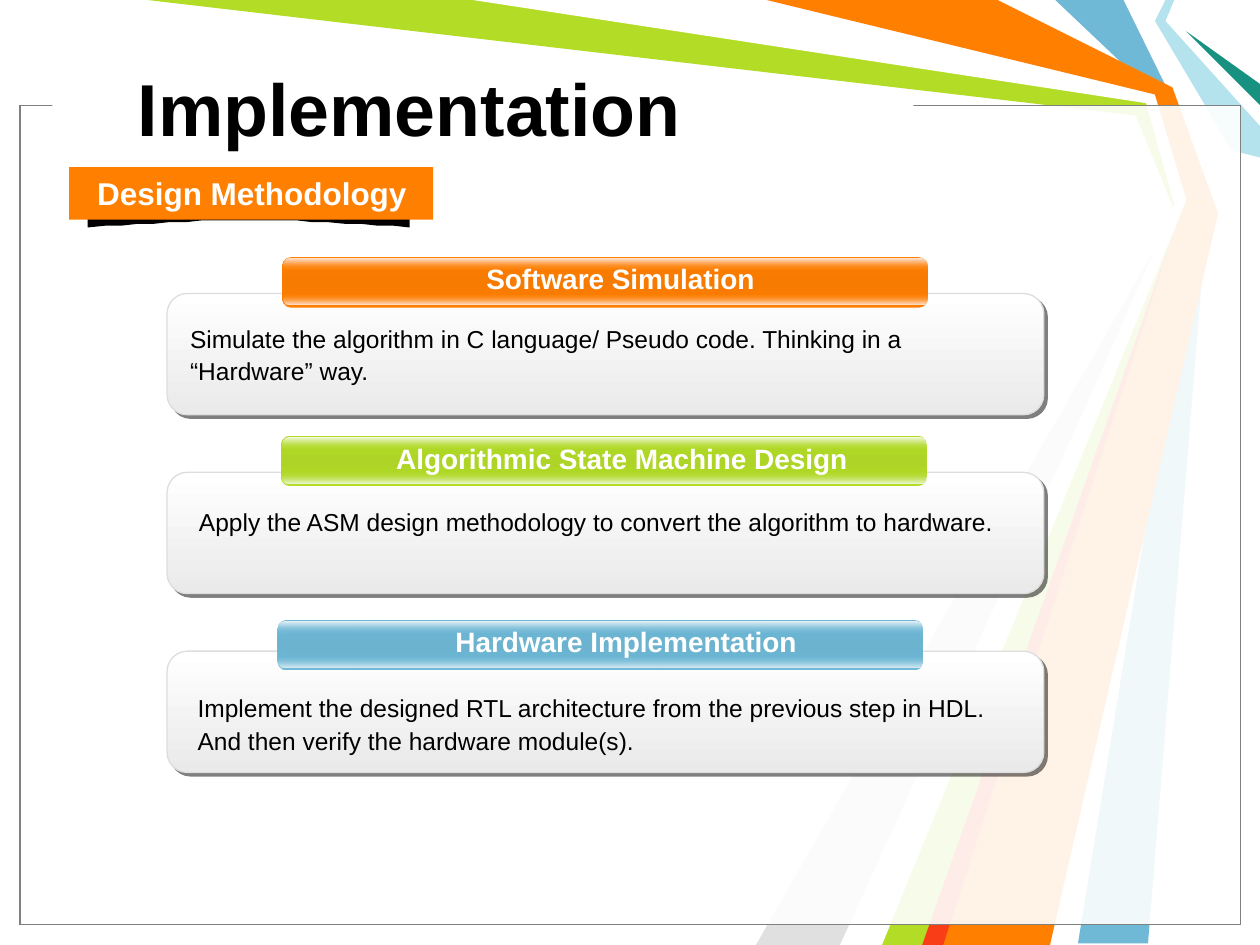
from pptx import Presentation
from pptx import util as u
from pptx.dml.color import RGBColor
from pptx.enum import shapes, text
from pptx.oxml import parse_xml
from pptx.oxml.ns import nsdecls, qn

Pt = u.Pt
RECT = shapes.MSO_SHAPE.RECTANGLE
ROUND = shapes.MSO_SHAPE.ROUNDED_RECTANGLE
LEFT, MID = text.PP_ALIGN.LEFT, text.PP_ALIGN.CENTER

theme = dict(
    font="Arial", title=42, banner=18, head=16, body=14,
    black="000000", white="FFFFFF", orange="FF7F00", green="B3DC27",
    blue="6FB9D7", pale="B4E3EE", teal="189180", red="F93D17",
    grey="E0E0E0", frame="808080", edge="DDDDDD", base="EAEAEA",
)

# Drop shadow, 2.8 pt to the lower right
SHADE = (f'<a:outerShdw {nsdecls("a")} dist="35560" dir="2700000" algn="ctr" rotWithShape="0">'
         '<a:srgbClr val="000000"><a:alpha val="50000"/></a:srgbClr></a:outerShdw>')


def paint(shape, stops, line=None):
    """Fill with one colour or a top-down gradient of (place, colour, alpha)."""
    shape.shadow.inherit = False
    if len(stops) == 1:
        shape.fill.solid()
        shape.fill.fore_color.rgb = RGBColor.from_string(stops[0][1])
        if stops[0][2] < 100:
            tint = shape.fill._xPr.find(qn("a:solidFill"))[0]
            tint.append(parse_xml(f'<a:alpha {nsdecls("a")} val="{stops[0][2] * 1000}"/>'))
    else:
        shape.fill.gradient()
        shape.fill.gradient_angle = 270
        group = shape.fill._xPr.find(qn("a:gradFill")).find(qn("a:gsLst"))
        for old in list(group):
            group.remove(old)
        for place, color, alpha in stops:
            group.append(parse_xml(
                f'<a:gs {nsdecls("a")} pos="{place * 1000}"><a:srgbClr val="{color}">'
                f'<a:alpha val="{alpha * 1000}"/></a:srgbClr></a:gs>'))
    if line:
        shape.line.color.rgb = RGBColor.from_string(line)
        shape.line.width = Pt(0.75)
    else:
        shape.line.fill.background()
    return shape


def write(box, words, size, color, bold, align):
    """Set one paragraph in a box and return its run."""
    frame = box.text_frame
    frame.word_wrap = True
    frame.text = words
    para = frame.paragraphs[0]
    para.alignment = align
    run = para.runs[0]
    run.font.name, run.font.size, run.font.bold = theme["font"], Pt(size), bold
    run.font.color.rgb = RGBColor.from_string(color)
    return run


deck = Presentation()
deck.slide_width, deck.slide_height = Pt(720), Pt(540)
slide = deck.slides.add_slide(deck.slide_layouts[5])
art = slide.shapes

# Background ribbons
ribbons = [
    ("blue", [(642, 0), (669, 55), (690, 120), (656, 539), (616, 539), (684, 120), (660, 54), (603, 0)]),
    ("green", [(84, 0), (276, 0), (658, 56), (678, 122), (534, 540), (498, 540), (673, 125), (649, 66)]),
    ("grey", [(480, 540), (667, 130), (432, 540)]),
    ("white", [(270, 0), (655, 59), (671, 117), (486, 540), (504, 540), (678, 114), (660, 54), (432, 0)]),
    ("pale", [(666, 0), (660, 12), (704, 86), (720, 90), (720, 72), (666, 12), (671, 0)]),
    ("teal", [(720, 60), (678, 18), (720, 48)]),
    ("orange", [(438, 0), (570, 0), (670, 50), (696, 122), (600, 540), (528, 540), (678, 114), (660, 54)]),
    ("red", [(527, 540), (671, 132), (539, 540)]),
]
# Banner shadow with a curved lower edge
curve = [(142.5 + 9.2 * n, 126 + 0.043 * n * n) for n in range(10, -11, -1)]
fold = ("black", curve + [(50.5, 119), (142.5, 115), (234.5, 119)])

for name, points in ribbons + [fold]:
    if name == "black":
        # Page frame, two veils deep, with a gap behind the title
        for line in ("black", "frame"):
            veil = art.add_shape(RECT, Pt(11.5), Pt(60.5), Pt(697.5), Pt(468))
            paint(veil, [(0, theme["white"], 69)], theme[line])
        gap = art.add_shape(RECT, Pt(30), Pt(53.5), Pt(492), Pt(12))
        paint(gap, [(0, theme["white"], 100)])
    pen = art.build_freeform(*points[0], scale=Pt(1))
    pen.add_line_segments(points[1:], close=True)
    paint(pen.convert_to_shape(), [(0, theme[name], 100)])

# Title, in front of the background
title = art.title
title.left, title.top, title.width, title.height = Pt(71.5), Pt(16), Pt(496), Pt(90)
title.text_frame.vertical_anchor = text.MSO_ANCHOR.MIDDLE
write(title, "Implementation", theme["title"], theme["black"], True, LEFT)
art._spTree.append(title._element)

# Banner
banner = art.add_shape(RECT, Pt(39.5), Pt(95.5), Pt(208), Pt(30))
paint(banner, [(0, theme["orange"], 100)])
label = art.add_textbox(Pt(44.5), Pt(95.8), Pt(199), Pt(29))
write(label, "Design Methodology", theme["banner"], theme["white"], True, MID)

# Cards: colour, middle and rim shades, bar place, heading centre and top, body place
cards = [
    ("orange", "F67B00", "FFEAE4", "FFECE7", 161.2, 147, 354.6, 146.2, 101.5, 180,
     "Software Simulation",
     "Simulate the algorithm in C language/ Pseudo code. Thinking in a “Hardware” way."),
    ("green", "ADD426", "F5FAED", "F3F9E9", 160.6, 249, 355.4, 249, 106.6, 284.4,
     "Algorithmic State Machine Design",
     "Apply the ASM design methodology to convert the algorithm to hardware."),
    ("blue", "6BB3CF", "ECF4F8", "E5F0F6", 158.6, 354.3, 357.8, 353.5, 105.8, 391,
     "Hardware Implementation",
     "Implement the designed RTL architecture from the previous step in HDL. "
     "And then verify the hardware module(s)."),
]
for row, (name, core, upper, lower, left, top, mid, high, start, down, head, body) in enumerate(cards):
    color = theme[name]

    # Panel
    panel = art.add_shape(ROUND, Pt(95.5), Pt(167.7 + 102.2 * row), Pt(501), Pt(69.3))
    paint(panel, [(0, theme["white"], 100), (100, theme["base"], 100)], theme["edge"])
    panel._element.spPr.find(qn("a:effectLst")).append(parse_xml(SHADE))

    # Glossy bar with a lit lower and upper rim
    bar = art.add_shape(ROUND, Pt(left), Pt(top), Pt(369), Pt(28.8))
    bar.adjustments[0] = 0.175
    paint(bar, [(0, color, 100), (50, core, 100), (100, color, 100)])
    for drop, stops in (
        (20.5, [(0, color, 0), (100, lower, 100)]),
        (1, [(0, upper, 100), (100, color, 0)]),
    ):
        rim = art.add_shape(ROUND, Pt(left + 0.8), Pt(top + drop), Pt(368), Pt(6.8))
        rim.adjustments[0] = 0.5
        paint(rim, stops)

    # Heading with shadowed letters
    label = art.add_textbox(Pt(mid - 150), Pt(high), Pt(300), Pt(26.6))
    run = write(label, head, theme["head"], theme["white"], True, MID)
    glow = parse_xml(f'<a:effectLst {nsdecls("a")}/>')
    glow.append(parse_xml(SHADE))
    run.font._element.find(qn("a:solidFill")).addnext(glow)

    # Body
    note = art.add_textbox(Pt(start), Pt(down), Pt(585.4 - start), Pt(44.6))
    write(note, body, theme["body"], theme["black"], False, LEFT)
    note.text_frame.paragraphs[0].line_spacing = 1.1

deck.save("out.pptx")
